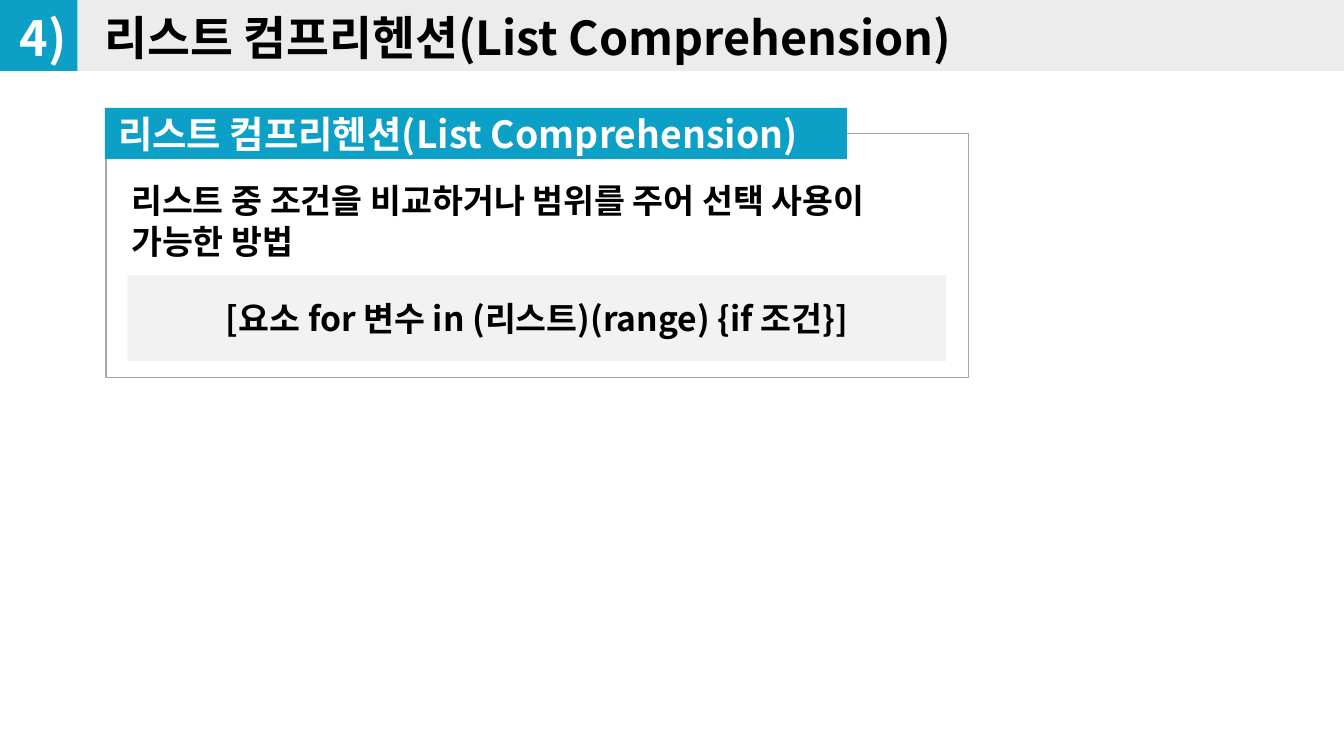
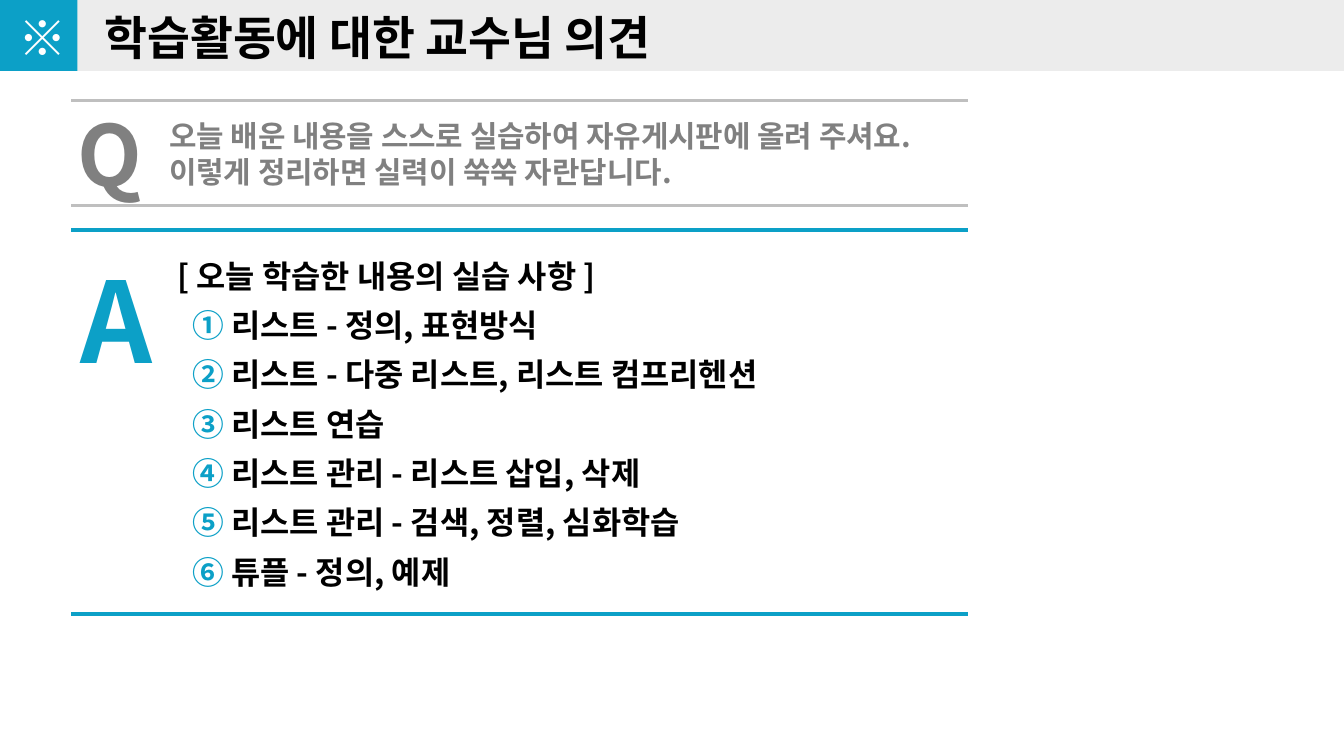
from copy import deepcopy

from lxml import etree
from pptx import Presentation
from pptx.dml.color import RGBColor
from pptx.enum.shapes import MSO_CONNECTOR, MSO_SHAPE
from pptx.enum.text import MSO_ANCHOR, MSO_AUTO_SIZE, PP_ALIGN
from pptx.oxml.ns import qn
from pptx.util import Pt

RECTANGLE = MSO_SHAPE.RECTANGLE
STRAIGHT = MSO_CONNECTOR.STRAIGHT
LEFT, CENTER = PP_ALIGN.LEFT, PP_ALIGN.CENTER
TOP, MIDDLE = MSO_ANCHOR.TOP, MSO_ANCHOR.MIDDLE

FONT = "Noto Sans CJK KR"
COLORS = {
    "accent": "0CA0C7", "band": "ECECEC", "panel": "F2F2F2", "white": "FFFFFF",
    "black": "000000", "border": "A6A6A6", "rule": "BFBFBF", "question": "808080",
}
TEXT_INSETS = (10, 5, 10, 5)
SHAPE_INSETS = (7.2, 3.6, 7.2, 3.6)

# Content
COMPREHENSION = {
    "number": "4)",
    "title": "리스트 컴프리헨션(List Comprehension)",
    "label": "리스트 컴프리헨션(List Comprehension)",
    "definition": "리스트 중 조건을 비교하거나 범위를 주어 선택 사용이 가능한 방법",
    "syntax": "[요소 for 변수 in (리스트)(range) {if 조건}]",
}
OPINION = {
    "number": "※",
    "title": "학습활동에 대한 교수님 의견",
    "question": "오늘 배운 내용을 스스로 실습하여 자유게시판에 올려 주셔요. \n"
                "이렇게 정리하면 실력이 쑥쑥 자란답니다.",
    "heading": "[ 오늘 학습한 내용의 실습 사항 ]",
    "topics": [
        "리스트 - 정의, 표현방식",
        "리스트 - 다중 리스트, 리스트 컴프리헨션",
        "리스트 연습",
        "리스트 관리 - 리스트 삽입, 삭제",
        "리스트 관리 - 검색, 정렬, 심화학습",
        "튜플 - 정의, 예제",
    ],
}
RULE_LEFT, RULE_RIGHT = 38.2, 518.4
RULES = [  # y, colour, width
    (110.2, "rule", 1.5), (54, "rule", 1.5),
    (123.1, "accent", 2.25), (329, "accent", 2.25),
]


def rgb(name):
    return RGBColor.from_string(COLORS[name])


def set_attributes(target, values):
    for name, value in values.items():
        setattr(target, name, value)


def format_paragraph(paragraph, text, size, color, align=LEFT):
    paragraph.text = text
    paragraph.alignment = align
    for run in paragraph.runs:
        set_attributes(run.font, {"name": FONT, "size": Pt(size), "bold": True})
        run.font.color.rgb = rgb(color)
        properties = run.font._element
        etree.SubElement(properties, qn("a:ea"), typeface=FONT)
        for line_break in paragraph._p.findall(qn("a:br")):
            if len(line_break) == 0:
                line_break.append(deepcopy(properties))


def write(shape, text, size, color, align=LEFT, anchor=TOP, insets=TEXT_INSETS):
    frame = shape.text_frame
    left, top, right, bottom = map(Pt, insets)
    set_attributes(frame, {
        "word_wrap": True, "auto_size": MSO_AUTO_SIZE.NONE, "vertical_anchor": anchor,
        "margin_left": left, "margin_top": top,
        "margin_right": right, "margin_bottom": bottom,
    })
    format_paragraph(frame.paragraphs[0], text, size, color, align)
    return frame


def add_rectangle(slide, box, fill, line=None):
    shape = slide.shapes.add_shape(RECTANGLE, *map(Pt, box))
    shape.shadow.inherit = False
    shape.fill.solid()
    shape.fill.fore_color.rgb = rgb(fill)
    if line:
        shape.line.color.rgb = rgb(line)
        shape.line.width = Pt(0.75)
    else:
        shape.line.fill.background()
    return shape


def add_text(slide, box, *text_format, **options):
    return write(slide.shapes.add_textbox(*map(Pt, box)), *text_format, **options)


def add_rule(slide, y, color, width):
    rule = slide.shapes.add_connector(STRAIGHT, Pt(RULE_LEFT), Pt(y), Pt(RULE_RIGHT), Pt(y))
    rule.line.color.rgb = rgb(color)
    rule.line.width = Pt(width)
    etree.SubElement(rule._element.spPr, qn("a:effectLst"))


def set_indent(paragraph, margin, first_line=0):
    properties = paragraph._p.get_or_add_pPr()
    properties.set("marL", str(Pt(margin)))
    properties.set("indent", str(Pt(first_line)))
    return properties


def add_numbered(frame, text, size):
    paragraph = frame.add_paragraph()
    paragraph.space_before = Pt(6)
    properties = set_indent(paragraph, 28.8, -20.9)
    bullet_color = etree.SubElement(properties, qn("a:buClr"))
    etree.SubElement(bullet_color, qn("a:srgbClr"), val=COLORS["accent"])
    etree.SubElement(properties, qn("a:buFont"), typeface=FONT)
    etree.SubElement(properties, qn("a:buAutoNum"), type="circleNumDbPlain")
    format_paragraph(paragraph, text, size, "black")


def add_titled_slide(presentation, content):
    slide = presentation.slides.add_slide(presentation.slide_layouts[5])
    # Header band and number tile
    add_rectangle(slide, (41, -0.7, 679, 38.7), "band")
    add_rectangle(slide, (-0.7, -0.7, 42.2, 38.7), "accent")
    # Title, raised above the band
    title = slide.shapes.title
    set_attributes(title, {"left": Pt(46), "top": Pt(0), "width": Pt(642), "height": Pt(40.3)})
    write(title, content["title"], 25, "black")
    slide.shapes._spTree.append(title._element)
    add_text(slide, (-0.7, -0.7, 47.5, 41.8), content["number"], 26, "white", align=CENTER)
    return slide


def build_comprehension(presentation):
    content = COMPREHENSION
    slide = add_titled_slide(presentation, content)
    # Definition frame
    frame_shape = add_rectangle(slide, (56.7, 71.4, 462.2, 131), "white", "border")
    frame = write(frame_shape, content["definition"], 18, "black", insets=(7.2, 25.2, 7.2, 3.6))
    set_indent(frame.paragraphs[0], 6.5)
    # Label and syntax panel
    label = add_rectangle(slide, (56.2, 57.8, 397.5, 27.5), "accent")
    write(label, content["label"], 20, "white", anchor=MIDDLE, insets=SHAPE_INSETS)
    panel = add_rectangle(slide, (68.3, 147.4, 438.6, 46), "panel")
    write(panel, content["syntax"], 18, "black", CENTER, MIDDLE, SHAPE_INSETS)


def build_opinion(presentation):
    content = OPINION
    slide = add_titled_slide(presentation, content)
    for rule in RULES:
        add_rule(slide, *rule)
    # Answer
    add_text(slide, (33.1, 129.6, 57.6, 82.8), "A", 60, "accent")
    answer = add_text(slide, (85, 132.5, 434.2, 190.8), content["heading"], 17, "black")
    for topic in content["topics"]:
        add_numbered(answer, topic, 17)
    # Question
    add_text(slide, (80.6, 57.6, 447.1, 49), content["question"], 16, "question", anchor=MIDDLE)
    add_text(slide, (31.7, 49.7, 53.3, 64.8), "Q", 45, "question")


def main():
    presentation = Presentation()
    set_attributes(presentation, {"slide_width": Pt(720), "slide_height": Pt(405)})
    build_comprehension(presentation)
    build_opinion(presentation)
    presentation.save("out.pptx")


if __name__ == "__main__":
    main()
